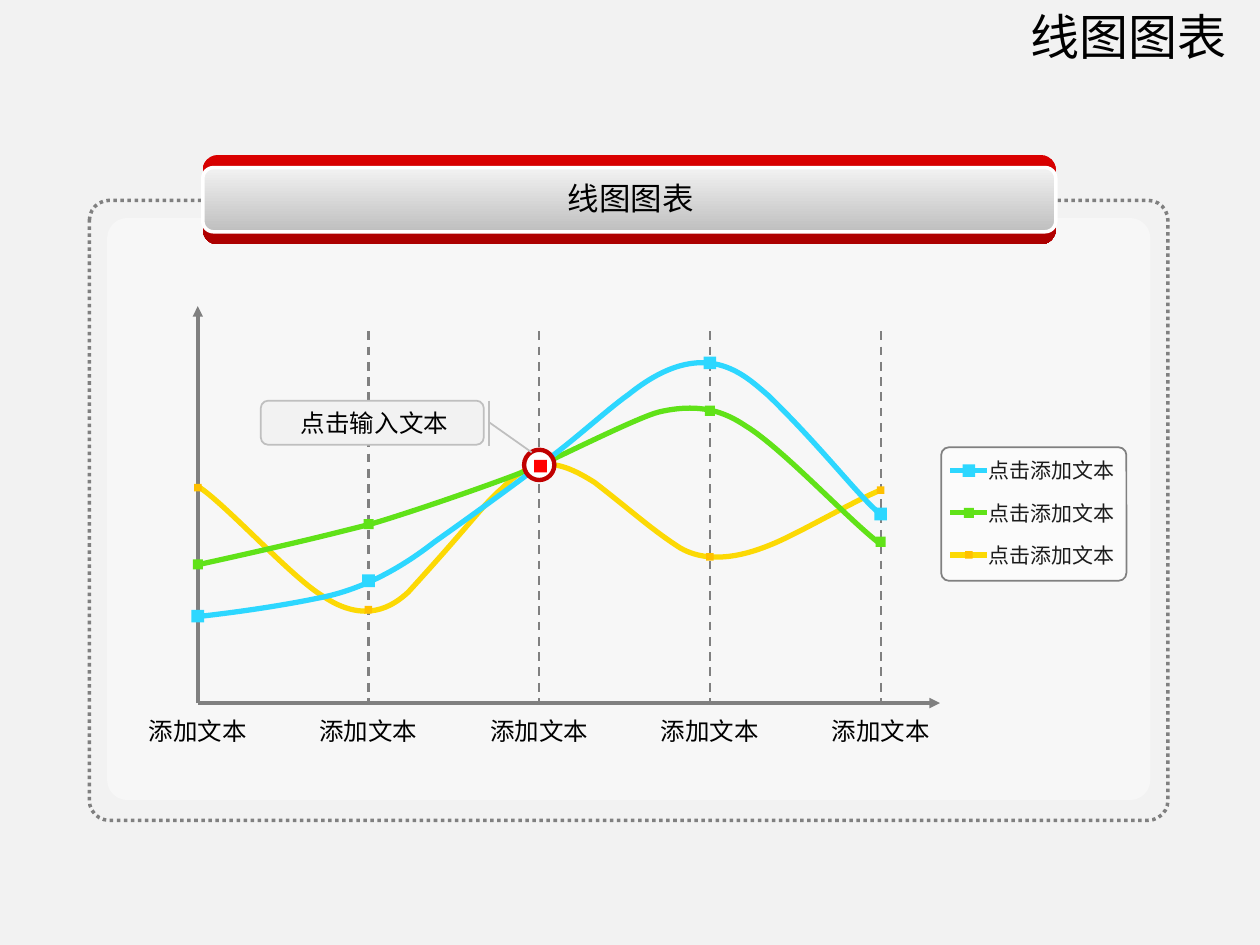
from lxml import etree
from pptx import Presentation
from pptx.dml.color import RGBColor
from pptx.enum.dml import MSO_LINE
from pptx.enum.shapes import MSO_CONNECTOR, MSO_SHAPE
from pptx.enum.text import MSO_AUTO_SIZE, PP_ALIGN
from pptx.oxml.ns import qn
from pptx.util import Inches, Pt

ROUNDED, RECTANGLE, OVAL = MSO_SHAPE.ROUNDED_RECTANGLE, MSO_SHAPE.RECTANGLE, MSO_SHAPE.OVAL
STRAIGHT = MSO_CONNECTOR.STRAIGHT
DOTTED, DASHED = MSO_LINE.ROUND_DOT, MSO_LINE.DASH
CENTER, RIGHT, LEFT = PP_ALIGN.CENTER, PP_ALIGN.RIGHT, PP_ALIGN.LEFT

COLORS = {
    "background": "F2F2F2", "white": "FFFFFF", "gray": "808080", "light gray": "BFBFBF",
    "black": "000000", "legend text": "1C1C1C", "yellow": "FCD904", "orange": "FFC000",
    "green": "60E218", "blue": "2DD7FF", "red": "FF0000", "dark red": "C00000",
    "banner top": "DA0000", "banner bottom": "AC0000",
}

TITLE = "线图图表"
BANNER = "线图图表"
CALLOUT = "点击输入文本"
CATEGORIES = ["添加文本"] * 5

# Back to front; each curve is a start point followed by triples of Bezier points.
SERIES = [
    {"label": "点击添加文本", "line": "yellow", "marker": "orange", "size": 0.06,
     "values": [3.87, 4.84, None, 4.42, 3.89],
     "curve": [(1.57, 3.86), (1.78, 3.99), (2.31, 4.58), (2.56, 4.73),
               (2.9, 4.96), (3.12, 4.81), (3.24, 4.7), (3.76, 4.13), (3.83, 4.01), (3.98, 3.88),
               (4.24, 3.62), (4.42, 3.64), (4.72, 3.83), (5.03, 4.07), (5.18, 4.21), (5.4, 4.35),
               (5.68, 4.51), (6.03, 4.36), (6.15, 4.31), (6.38, 4.21), (6.79, 3.97), (6.99, 3.89)]},
    {"label": "点击添加文本", "line": "green", "marker": "green", "size": 0.08,
     "values": [4.48, 4.16, None, 3.26, 4.3],
     "curve": [(1.58, 4.48), (2.26, 4.33), (2.59, 4.25), (2.94, 4.16),
               (3.22, 4.08), (4.01, 3.81), (4.29, 3.69), (4.49, 3.6), (5.07, 3.31), (5.23, 3.27),
               (5.65, 3.17), (5.85, 3.34), (5.95, 3.4), (6.25, 3.6), (6.74, 4.13), (6.99, 4.32)]},
    {"label": "点击添加文本", "line": "blue", "marker": "blue", "size": 0.1,
     "values": [4.89, 4.61, None, 2.88, 4.08],
     "curve": [(1.6, 4.89), (1.87, 4.86), (2.22, 4.81), (2.51, 4.75),
               (2.9, 4.68), (3.22, 4.48), (3.45, 4.3), (3.72, 4.11), (4.12, 3.82), (4.3, 3.68),
               (4.54, 3.51), (4.82, 3.25), (4.99, 3.13), (5.6, 2.64), (5.92, 2.99), (6.1, 3.14),
               (6.55, 3.58), (6.83, 3.96), (7, 4.09)]},
]

AXIS_LEFT, AXIS_TOP, AXIS_RIGHT, AXIS_BOTTOM = 1.57, 2.43, 7.46, 5.58
GRID_TOP = 2.63
COLUMN_STEP = 1.355
COLUMNS = [AXIS_LEFT + COLUMN_STEP * index for index in range(len(CATEGORIES))]
LEGEND_TOP, LEGEND_STEP = 3.735, 0.335

presentation = Presentation()
presentation.slide_width, presentation.slide_height = Inches(10), Inches(7.5)
slide = presentation.slides.add_slide(presentation.slide_layouts[6])


def rgb(name):
    return RGBColor.from_string(COLORS[name])


def style_line(line, color, width, dash=None):
    line.color.rgb = rgb(color)
    line.width = Pt(width)
    if dash:
        line.dash_style = dash


def add_box(kind, left, top, width, height, fill=None, alpha=None, line=None, radius=None):
    """Add a shape; fill is a color name or a (top, bottom) pair, line holds style_line values."""
    shape = slide.shapes.add_shape(kind, Inches(left), Inches(top), Inches(width), Inches(height))
    shape.shadow.inherit = False
    if radius is not None:
        shape.adjustments[0] = radius
    if fill is None:
        shape.fill.background()
    elif isinstance(fill, tuple):
        shape.fill.gradient()
        shape.fill.gradient_angle = 270
        for position, (stop, color) in enumerate(zip(shape.fill.gradient_stops, fill)):
            stop.position = position
            stop.color.rgb = rgb(color)
    else:
        shape.fill.solid()
        shape.fill.fore_color.rgb = rgb(fill)
    if alpha is not None:
        color_element = shape._element.spPr.find(qn("a:solidFill"))[0]
        etree.SubElement(color_element, qn("a:alpha"), val=str(alpha * 1000))
    if line:
        style_line(shape.line, *line)
    else:
        shape.line.fill.background()
    return shape


def add_marker(x, y, size, color):
    """Add a square centred on x, y."""
    add_box(RECTANGLE, x - size / 2, y - size / 2, size, size, color)


def add_line(x1, y1, x2, y2, color, width, dash=None, arrow=False):
    connector = slide.shapes.add_connector(
        STRAIGHT, Inches(x1), Inches(y1), Inches(x2), Inches(y2))
    style_line(connector.line, color, width, dash)
    if arrow:
        etree.SubElement(connector.line._get_or_add_ln(), qn("a:tailEnd"), type="triangle")
    etree.SubElement(connector._element.spPr, qn("a:effectLst"))


def add_curve(points, color):
    """Draw a freeform and turn each three of its segments into one Bezier segment."""
    points = [(Inches(x), Inches(y)) for x, y in points]
    builder = slide.shapes.build_freeform(*points[0])
    builder.add_line_segments(points[1:], close=False)
    shape = builder.convert_to_shape()
    shape.shadow.inherit = False
    shape.fill.background()
    style_line(shape.line, color, 3)
    outline = shape._element.spPr.find(".//" + qn("a:path"))
    segments = outline.findall(qn("a:lnTo"))
    for start in range(0, len(segments), 3):
        bezier = etree.SubElement(outline, qn("a:cubicBezTo"))
        for segment in segments[start:start + 3]:
            bezier.append(segment[0])
            outline.remove(segment)


def add_text(text, left, top, width, height, size, color="black", align=CENTER,
             font="Arial", wrap=True):
    box = slide.shapes.add_textbox(Inches(left), Inches(top), Inches(width), Inches(height))
    box.text_frame.word_wrap = wrap
    box.text_frame.auto_size = MSO_AUTO_SIZE.SHAPE_TO_FIT_TEXT
    paragraph = box.text_frame.paragraphs[0]
    paragraph.alignment = align
    run = paragraph.add_run()
    run.text = text
    run.font.name, run.font.size = font, Pt(size)
    run.font.color.rgb = rgb(color)


slide.background.fill.solid()
slide.background.fill.fore_color.rgb = rgb("background")

# Frame, axes and grid
add_box(ROUNDED, 0.71, 1.59, 8.56, 4.92, line=("gray", 2, DOTTED), radius=0.032)
add_box(ROUNDED, 0.85, 1.73, 8.28, 4.62, "white", alpha=40, radius=0.035)
add_line(AXIS_LEFT, AXIS_BOTTOM, AXIS_LEFT, AXIS_TOP, "gray", 2, arrow=True)
add_line(AXIS_LEFT, AXIS_BOTTOM, AXIS_RIGHT, AXIS_BOTTOM, "gray", 2, arrow=True)
for x in COLUMNS[1:]:
    add_line(x, GRID_TOP, x, AXIS_BOTTOM, "gray", 1.25, DASHED)
for x, category in zip(COLUMNS, CATEGORIES):
    add_text(category, x - 0.515, 5.63, 1.03, 0.33, 14)

# Callout and series
add_box(ROUNDED, 2.07, 3.18, 1.77, 0.35, "background", line=("light gray", 1))
for series in SERIES:
    add_curve(series["curve"], series["line"])
    for x, y in zip(COLUMNS, series["values"]):
        if y is not None:
            add_marker(x, y, series["size"], series["marker"])
add_box(OVAL, 4.16, 3.57, 0.24, 0.24, "white", line=("dark red", 2.5))
add_marker(4.29, 3.7, 0.1, "red")
add_text(CALLOUT, 2.29, 3.19, 1.37, 0.33, 14, align=LEFT, wrap=False)
add_line(3.88, 3.18, 3.88, 3.54, "light gray", 1)
add_line(3.88, 3.35, 4.22, 3.59, "light gray", 1)

# Legend
add_box(ROUNDED, 7.47, 3.55, 1.47, 1.06, "white", alpha=50, line=("gray", 1), radius=0.058)
for index, series in enumerate(reversed(SERIES)):
    y = LEGEND_TOP + LEGEND_STEP * index
    add_line(7.54, y, 7.83, y, series["line"], 3)
    add_marker(7.69, y, series["size"], series["marker"])
    add_text(series["label"], 7.74, y - 0.15, 1.21, 0.3, 12, "legend text")

# Banner and title
add_box(ROUNDED, 1.61, 1.23, 6.77, 0.71, ("banner top", "banner bottom"), radius=0.167)
add_box(ROUNDED, 1.61, 1.33, 6.77, 0.51, ("background", "light gray"),
        line=("white", 2), radius=0.167)
add_text(BANNER, 3.77, 1.37, 2.47, 0.4, 18)
add_text(TITLE, 6.63, 0, 3.2, 0.57, 28, align=RIGHT, font="Noto Sans CJK SC")

presentation.save("out.pptx")
